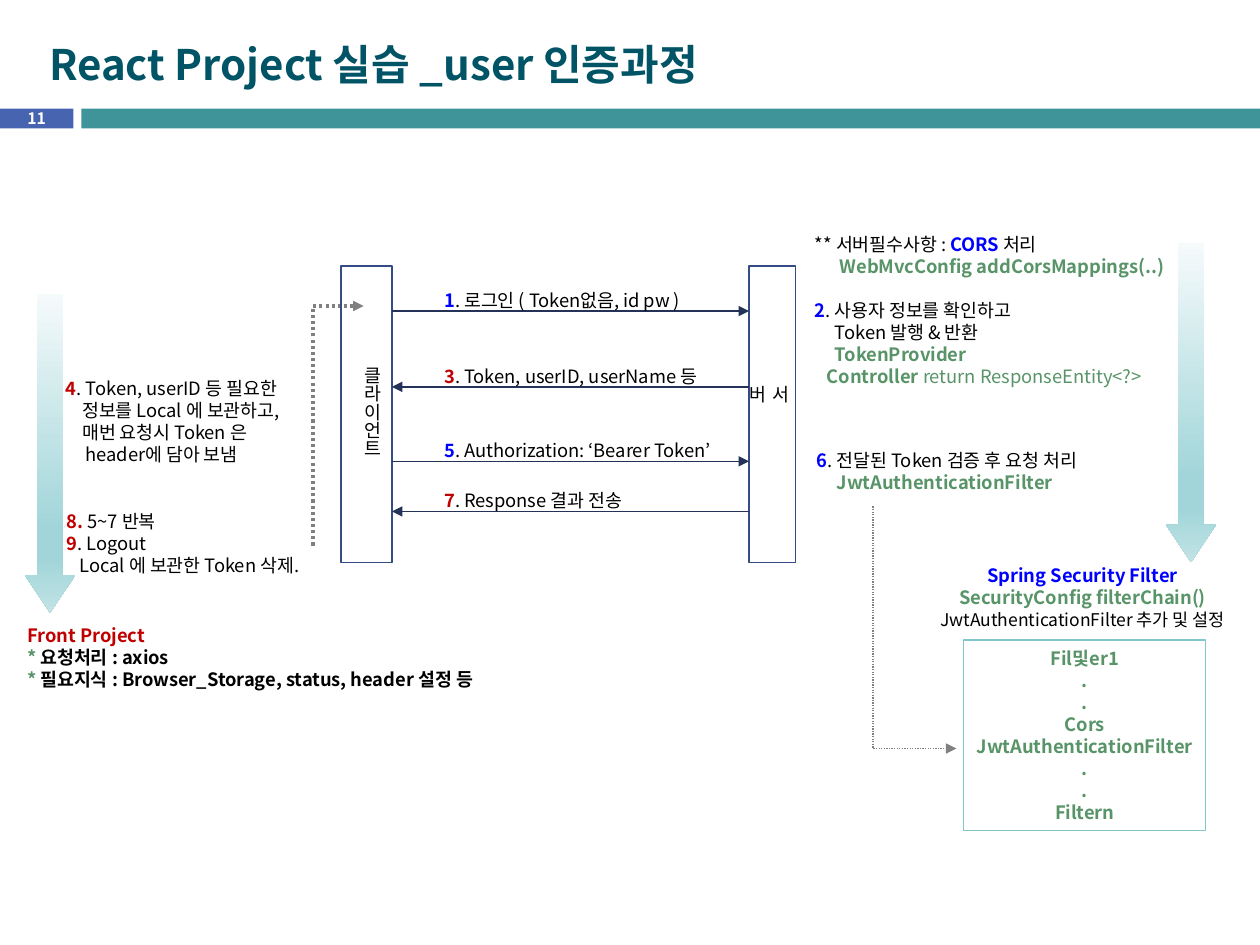
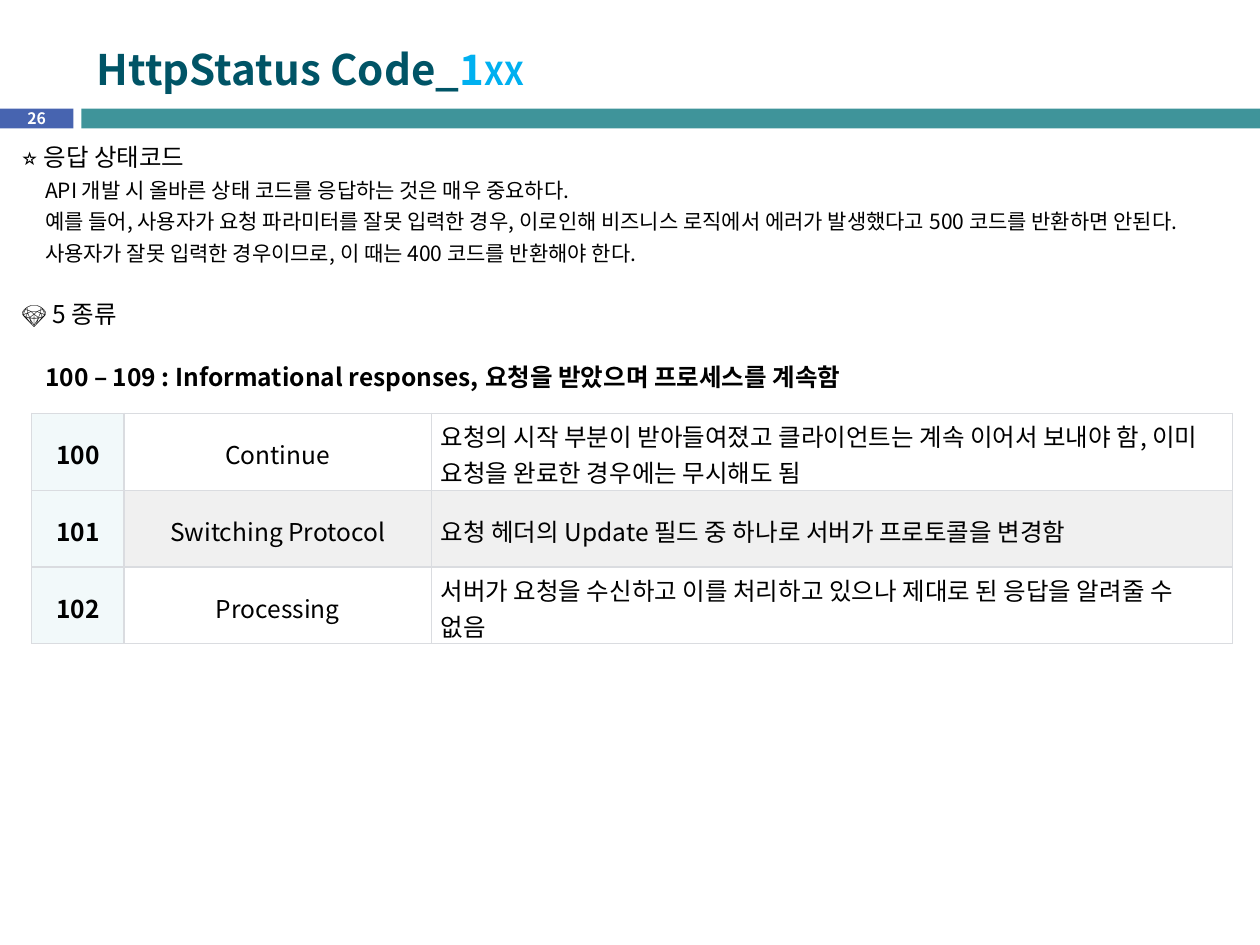
from collections import namedtuple
from dataclasses import dataclass
from functools import partial

from lxml.etree import SubElement as Sub
from pptx import Presentation
from pptx.dml.color import RGBColor as Rgb
from pptx.enum.dml import MSO_LINE as Dash
from pptx.enum.shapes import MSO_CONNECTOR as Link, MSO_SHAPE as Form
from pptx.enum.text import MSO_ANCHOR as Anchor, MSO_AUTO_SIZE as Auto, PP_ALIGN as Align
from pptx.oxml.ns import qn
from pptx.util import Cm, Pt


@dataclass(frozen=True)
class Theme:
    face: str = "Noto Sans CJK KR"
    num_face: str = "Noto Sans CJK JP"
    title: str = "005466"
    sky: str = "00B0F0"
    badge: str = "4764B0"
    band: str = "3F949A"
    white: str = "FFFFFF"
    black: str = "000000"
    blue: str = "0000FF"
    red: str = "C00000"
    green: str = "589468"
    frame: str = "354B84"
    wire: str = "243258"
    gray: str = "808080"
    edge: str = "82C7CC"
    grid: str = "DADCE0"
    mint: str = "F2F9FA"
    stripe: str = "F0F0F0"
    fade: tuple = ((0, "F5FAFB"), (74, "A1D5D9"), (83, "A1D5D9"), (100, "C1E3E5"))
    head: float = 24
    small: float = 18
    body: float = 14
    text: float = 12
    note: float = 10.5
    tiny: float = 10
    page: float = 9
    tight: float = 12.6  # line pitch of the diagram notes
    loose: float = 18    # line pitch of the running text


T = Theme()
Run = namedtuple("Run", "text color bold size face", defaults=(T.black, False, T.note, T.face))
Line = namedtuple("Line", "runs dent hang gap")

blue = partial(Run, color=T.blue, bold=True)
red = partial(Run, color=T.red, bold=True)
green = partial(Run, color=T.green, bold=True)
bold = partial(Run, bold=True)


def line(*runs, dent=0, hang=0, gap=0):
    """One paragraph: dent and hang in cm, gap above in points."""
    return Line(runs, dent, hang, gap)


# ---- shared helpers ----

def write(frame, lines, pitch=None, align=Align.LEFT):
    for i, row in enumerate(lines):
        para = frame.add_paragraph() if i else frame.paragraphs[0]
        para.alignment = align
        para.space_before = Pt(row.gap)
        if pitch:
            para.line_spacing = Pt(pitch)
        prop = para._p.get_or_add_pPr()
        prop.set("marL", str(Cm(row.dent)))
        prop.set("indent", str(Cm(-row.hang)))
        for part in row.runs:
            run = para.add_run()
            run.text = part.text
            font = run.font
            font.size, font.bold, font.name = Pt(part.size), part.bold, part.face
            font.color.rgb = Rgb.from_string(part.color)
            Sub(run._r.rPr, qn("a:ea"), typeface=part.face)


def label(slide, x, y, w, h, lines, pitch=T.tight, align=Align.LEFT, anchor=Anchor.TOP):
    box = slide.shapes.add_textbox(Cm(x), Cm(y), Cm(w), Cm(h))
    frame = box.text_frame
    frame.word_wrap = True
    frame.vertical_anchor = anchor
    write(frame, lines, pitch, align)
    return frame


def block(slide, x, y, w, h, fill=None, edge=None, width=1, form=Form.RECTANGLE):
    shape = slide.shapes.add_shape(form, Cm(x), Cm(y), Cm(w), Cm(h))
    shape.shadow.inherit = False
    if fill:
        shape.fill.solid()
        shape.fill.fore_color.rgb = Rgb.from_string(fill)
    else:
        shape.fill.background()
    if edge:
        shape.line.color.rgb = Rgb.from_string(edge)
        shape.line.width = Pt(width)
    else:
        shape.line.fill.background()
    return shape


def wire(slide, kind, x1, y1, x2, y2, color, width):
    link = slide.shapes.add_connector(kind, Cm(x1), Cm(y1), Cm(x2), Cm(y2))
    link.line.color.rgb = Rgb.from_string(color)
    link.line.width = Pt(width)
    Sub(link.line._get_or_add_ln(), qn("a:tailEnd"), type="triangle")
    Sub(link._element.spPr, qn("a:effectLst"))
    return link


def elbow(slide, x1, y1, x2, y2, width, turn, flips):
    """Dotted arrow that runs upright first, then across."""
    mid_x, mid_y = (x1 + x2) / 2, (y1 + y2) / 2
    long, wide = abs(y2 - y1) / 2, abs(x2 - x1) / 2
    link = wire(slide, Link.ELBOW, mid_x - long, mid_y - wide,
                mid_x + long, mid_y + wide, T.gray, width)
    link.line.dash_style = Dash.ROUND_DOT
    prop = link._element.spPr
    prop.xfrm.set("rot", str(turn * 60000))
    for flip in flips:
        prop.xfrm.set("flip" + flip, "1")
    geom = prop.find(qn("a:prstGeom"))
    goal = geom.find(qn("a:avLst"))
    if goal is None:
        goal = Sub(geom, qn("a:avLst"))
    Sub(goal, qn("a:gd"), name="adj1", fmla="val 100000")


def base(deck, page, x, y, title):
    """Blank slide with title, page badge and band."""
    slide = deck.slides.add_slide(deck.slide_layouts[6])
    top, high = 2.19, 0.4
    badge = block(slide, 0, top, 1.48, high, T.badge)
    block(slide, 1.64, top, 23.76, high, T.band)
    frame = badge.text_frame
    frame.margin_top = frame.margin_bottom = 0
    number = Run(page, T.white, True, T.page, T.num_face)
    write(frame, [line(number)], align=Align.CENTER)
    label(slide, x, y, 22.66, 1.5, [line(*title)], None, anchor=Anchor.MIDDLE)
    return slide


# ---- slide 1: login flow ----

def fall(slide, x, y):
    """Fading down arrow."""
    shape = block(slide, x, y, 1.02, 6.43, form=Form.DOWN_ARROW)
    shape.adjustments[0], shape.adjustments[1] = 0.5, 0.74
    shape.fill.gradient()
    shape.fill.gradient_angle = 270
    stops = shape._element.spPr.find(qn("a:gradFill")).find(qn("a:gsLst"))
    for old in list(stops):
        stops.remove(old)
    for pos, color in T.fade:
        stop = Sub(stops, qn("a:gs"), pos=str(pos * 1000))
        Sub(stop, qn("a:srgbClr"), val=color)


def tower(slide, x, y, w, h, name, drop, high):
    """Tall frame with an upright name."""
    block(slide, x, y, w, h, edge=T.frame)
    frame = label(slide, x, y + drop, 0.97, high, [line(Run(name))])
    frame.auto_size = Auto.SHAPE_TO_FIT_TEXT
    frame._txBody.bodyPr.set("vert", "eaVert")


def flow(slide, x, y):
    """Client and server with the messages between them."""
    near, far, high = x + 1.02, x + 8.22, 5.98
    tower(slide, x, y, 1.02, high, "클라이언트", 1.78, 2.59)
    tower(slide, far, y, 0.94, high, "서 버", 2.16, 1.3)
    calls = [
        (0.91, blue("1"), ". 로그인 ( Token없음, id pw )"),
        (2.44, red("3"), ". Token, userID, userName 등"),
        (3.94, blue("5"), ". Authorization: ‘Bearer Token’"),
        (4.95, red("7"), ". Response 결과 전송"),
    ]
    for i, (drop, mark, text) in enumerate(calls):
        ends = (near, far) if i % 2 == 0 else (far, near)
        at = y + drop
        wire(slide, Link.STRAIGHT, ends[0], at, ends[1], at, T.wire, 0.75)
        label(slide, x + 1.83, at - 0.57, 6.2, 0.7, [line(mark, Run(text))])


def front(slide, x, y):
    """Client side notes, left of the flow."""
    fall(slide, x, y)
    label(slide, x + 0.58, y + 1.55, 6.1, 2.06, [
        line(red("4"), Run(". Token, userID 등 필요한")),
        line(Run("정보를 Local 에 보관하고,"), dent=0.33),
        line(Run("매번 요청시 Token 은"), dent=0.33),
        line(Run("header에 담아 보냄"), dent=0.4),
    ])
    label(slide, x + 0.6, y + 4.24, 6.1, 2.06, [
        line(red("8."), Run(" 5~7 반복")),
        line(red("9"), Run(". Logout")),
        line(Run("Local 에 보관한 Token 삭제."), dent=0.26),
    ])
    label(slide, x - 0.2, y + 6.53, 10.5, 1.6, [
        line(red("Front Project")),
        line(green("* "), bold("요청처리 : axios")),
        line(green("* "), bold("필요지식 : Browser_Storage, status, header 설정 등")),
    ])
    elbow(slide, x + 5.81, y + 5.08, x + 6.83, y + 0.25, 1.75, 90, "HV")


def back(slide, x, y):
    """Server side notes, right of the flow."""
    fall(slide, x + 7.32, y + 0.33)
    label(slide, x, y, 7.72, 3.4, [
        line(Run("** 서버필수사항 : "), blue("CORS"), Run(" 처리")),
        line(green("WebMvcConfig addCorsMappings(..)"), dent=0.5),
        line(blue("2"), Run(". 사용자 정보를 확인하고"), gap=T.tight),
        line(Run("Token 발행 & 반환"), dent=0.4),
        line(green("TokenProvider"), dent=0.4),
        line(green("Controller "), Run("return ResponseEntity<?>", T.green), dent=0.24),
    ])
    label(slide, x + 0.04, y + 4.35, 7.3, 1.14, [
        line(blue("6"), Run(". 전달된 Token 검증 후 요청 처리")),
        line(green("JwtAuthenticationFilter"), dent=0.4),
    ])
    label(slide, x + 2.23, y + 6.68, 6.83, 1.57, [
        line(blue("Spring Security Filter")),
        line(green("SecurityConfig filterChain()")),
        line(Run("JwtAuthenticationFilter 추가 및 설정", size=T.tiny)),
    ], align=Align.CENTER)


def chain(slide, x, y):
    """Filter chain box and the arrow into it."""
    box = block(slide, x, y, 4.88, 3.84, edge=T.edge, width=0.75)
    names = ["Fil및er1", ".", ".", "Cors", "JwtAuthenticationFilter", ".", ".", "Filtern"]
    write(box.text_frame, [line(green(name)) for name in names], T.tight, Align.CENTER)
    elbow(slide, x - 1.83, y - 2.69, x - 0.15, y + 2.19, 0.75, 270, "H")


def login(deck):
    title = Run("React Project 실습 _user 인증과정", T.title, True, T.head)
    slide = base(deck, "11", 0.74, 0.53, [title])
    front(slide, 0.5, 5.92)
    flow(slide, 6.88, 5.36)
    back(slide, 16.18, 4.57)
    chain(slide, 19.43, 12.9)


# ---- slide 2: status codes ----

def intro(slide, x, y):
    large = partial(Run, size=T.body)
    plain = partial(Run, size=T.text)
    dent = 0.48
    label(slide, x, y, 24.71, 5.38, [
        line(large("⭐️ 응답 상태코드"), dent=dent, hang=dent),
        line(plain("API 개발 시 올바른 상태 코드를 응답하는 것은 매우 중요하다."), dent=dent),
        line(plain("예를 들어, 사용자가 요청 파라미터를 잘못 입력한 경우, 이로인해 비즈니스 로직에서 "
                   "에러가 발생했다고 500 코드를 반환하면 안된다. 사용자가 잘못 입력한 경우이므로, "
                   "이 때는 400 코드를 반환해야 한다."), dent=dent),
        line(large("💎 5 종류"), dent=dent, hang=dent, gap=T.loose),
        line(large("100 – 109 : Informational responses, 요청을 받았으며 프로세스를 계속함",
                   bold=True), dent=dent, gap=T.loose),
    ], T.loose)


def fence(cell):
    """Thin border on all four sides, placed ahead of the fill."""
    prop = cell._tc.get_or_add_tcPr()
    for i, side in enumerate(("lnL", "lnR", "lnT", "lnB")):
        edge = Sub(prop, qn("a:" + side), w=str(Pt(0.75)))
        Sub(Sub(edge, qn("a:solidFill")), qn("a:srgbClr"), val=T.grid)
        prop.insert(i, edge)


def codes(slide, x, y):
    rows = [
        ("100", "Continue", "요청의 시작 부분이 받아들여졌고 클라이언트는 계속 이어서 보내야 함, "
                            "이미 요청을 완료한 경우에는 무시해도 됨"),
        ("101", "Switching Protocol", "요청 헤더의 Update 필드 중 하나로 서버가 프로토콜을 변경함"),
        ("102", "Processing", "서버가 요청을 수신하고 이를 처리하고 있으나 "
                              "제대로 된 응답을 알려줄 수 없음"),
    ]
    wide, high = (1.86, 6.2, 16.14), 1.55
    grid = slide.shapes.add_table(len(rows), len(wide), Cm(x), Cm(y),
                                  Cm(sum(wide)), Cm(high * len(rows))).table
    grid.first_row = grid.horz_banding = False
    for col, size in zip(grid.columns, wide):
        col.width = Cm(size)
    for r, row in enumerate(rows):
        grid.rows[r].height = Cm(high)
        for c, text in enumerate(row):
            cell = grid.cell(r, c)
            cell.margin_left = cell.margin_right = Cm(0.18)
            cell.margin_top, cell.margin_bottom = Cm(0.08), 0
            cell.vertical_anchor = Anchor.MIDDLE
            fill = T.mint if c == 0 else T.stripe if r % 2 else T.white
            cell.fill.solid()
            cell.fill.fore_color.rgb = Rgb.from_string(fill)
            fence(cell)
            write(cell.text_frame, [line(Run(text, bold=c == 0, size=T.body))],
                  align=Align.LEFT if c == 2 else Align.CENTER)


def status(deck):
    part = partial(Run, bold=True, size=T.head)
    slide = base(deck, "26", 1.7, 0.64, [
        part("HttpStatus Code_", T.title), part("1", T.sky), part("XX", T.sky, size=T.small)])
    intro(slide, 0.18, 2.69)
    codes(slide, 0.64, 8.33)


def main():
    deck = Presentation()
    deck.slide_width, deck.slide_height = Cm(25.4), Cm(19.05)
    login(deck)
    status(deck)
    deck.save("out.pptx")


if __name__ == "__main__":
    main()
